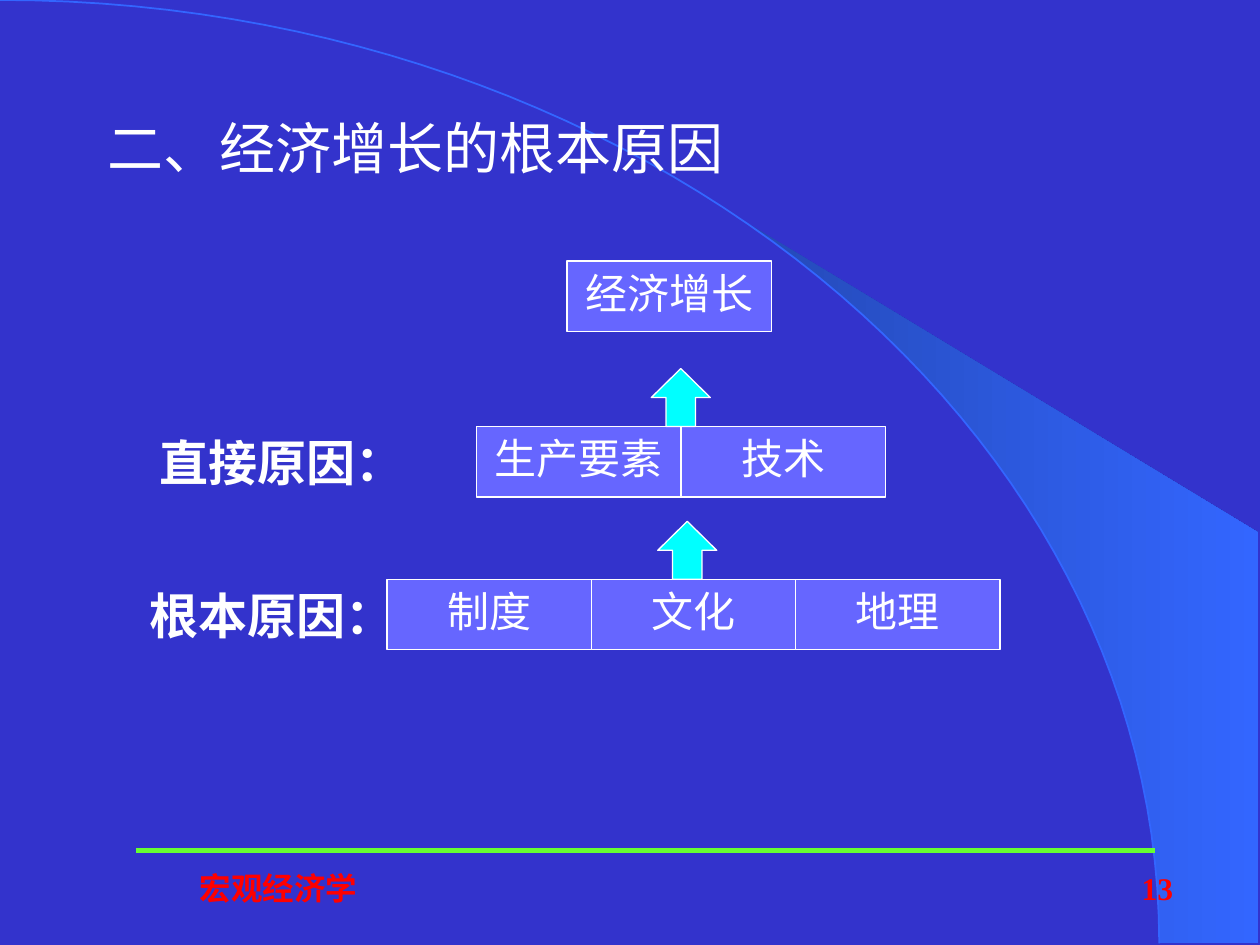
from lxml import etree
from pptx import Presentation
from pptx.dml.color import RGBColor
from pptx.enum.shapes import MSO_CONNECTOR, MSO_SHAPE
from pptx.enum.text import MSO_ANCHOR, MSO_AUTO_SIZE, PP_ALIGN
from pptx.oxml.ns import qn
from pptx.util import Cm, Pt

RECT, UP_ARROW = MSO_SHAPE.RECTANGLE, MSO_SHAPE.UP_ARROW
STRAIGHT = MSO_CONNECTOR.STRAIGHT
LEFT, CENTER, RIGHT = PP_ALIGN.LEFT, PP_ALIGN.CENTER, PP_ALIGN.RIGHT
TOP, MIDDLE = MSO_ANCHOR.TOP, MSO_ANCHOR.MIDDLE
FIT_SHAPE = MSO_AUTO_SIZE.SHAPE_TO_FIT_TEXT

FONT = "Times New Roman"
WHITE, RED, BLUE = "FFFFFF", "FF0000", "3366FF"
BOX_W, BOX_H = 4.12, 1.42
ARROW_W, ARROW_H = 1.19, 1.17


def rgb(color):
    return RGBColor.from_string(color)


def set_text(sp, text, size, color=WHITE, bold=False, align=LEFT,
             anchor=TOP, wrap=True):
    tf = sp.text_frame
    tf.text = text
    tf.word_wrap = wrap
    tf.vertical_anchor = anchor
    p = tf.paragraphs[0]
    p.alignment = align
    font = p.runs[0].font
    font.name, font.size, font.bold = FONT, Pt(size), bold
    font.color.rgb = rgb(color)


def add_text(s, box, text, size, **style):
    sp = s.shapes.add_textbox(*(Cm(v) for v in box))
    set_text(sp, text, size, **style)


def add_block(s, kind, box, fill):
    sp = s.shapes.add_shape(kind, *(Cm(v) for v in box))
    sp.shadow.inherit = False
    sp.fill.solid()
    sp.fill.fore_color.rgb = rgb(fill)
    sp.line.color.rgb = rgb(WHITE)
    sp.line.width = Pt(0.75)
    return sp


def add_outline(s, points, close):
    points = [(Cm(x), Cm(y)) for x, y in points]
    builder = s.shapes.build_freeform(*points[0])
    builder.add_line_segments(points[1:], close=close)
    sp = builder.convert_to_shape()
    sp.shadow.inherit = False
    return sp


def arc_points(width, height, start, steps=56):
    """Points on a quarter arc from the top left to the bottom right."""
    points = []
    for i in range(steps + 1):
        t = start + (1 - start) * i / steps
        a, b, c = 3 * (1 - t) ** 2 * t, 3 * (1 - t) * t ** 2, t ** 3
        points.append((width * (0.55 * a + b + c), height * (0.45 * b + c)))
    return points


def add_backdrop(s, width, height):
    s.background.fill.solid()
    s.background.fill.fore_color.rgb = rgb("3333CC")

    # Beam between the arc and the right edge
    corners = [(width, height), (width, 10.74)]
    beam = add_outline(s, arc_points(23.37, height, 0.44) + corners, True)
    beam.line.fill.background()
    beam.fill.gradient()
    beam.fill.gradient_angle = 0
    for stop, color, position in zip(beam.fill.gradient_stops,
                                     ("2449B6", BLUE), (0, 1)):
        stop.color.rgb = rgb(color)
        stop.position = position

    # Arc line
    arc = add_outline(s, arc_points(23.37, height, 0), False)
    arc.fill.background()
    arc.line.color.rgb = rgb(BLUE)
    arc.line.width = Pt(1)


def add_footer(s, left, top, width):
    rule = s.shapes.add_connector(STRAIGHT, Cm(left), Cm(top),
                                  Cm(left + width), Cm(top))
    rule.line.color.rgb = rgb("66FF33")
    rule.line.width = Pt(3)
    etree.SubElement(rule._element.spPr, qn("a:effectLst"))

    style = dict(color=RED, bold=True, anchor=MIDDLE)
    add_text(s, (left - 1.67, top + 0.12, 9.09, 1.27), "宏观经济学", 18,
             align=CENTER, **style)
    add_text(s, (left + 15.88, top + 0.12, 5.28, 1.27), "13", 18,
             align=RIGHT, **style)


def add_title(s, box):
    title = s.shapes.title
    title.left, title.top, title.width, title.height = (Cm(v) for v in box)
    set_text(title, "二、经济增长的根本原因", 32, wrap=False)
    title.text_frame.auto_size = FIT_SHAPE
    # Bring the title in front of the backdrop
    title._element.getparent().append(title._element)


def add_level(s, left, top, names, label=None, label_left=0, arrow_left=None):
    """A row of touching boxes with its label and the arrow above it."""
    for i, name in enumerate(names):
        sp = add_block(s, RECT, (left + i * BOX_W, top, BOX_W, BOX_H), "6666FF")
        set_text(sp, name, 24, align=CENTER, wrap=False)
    if label:
        add_text(s, (label_left, top, 5.59, 2.08), label, 28, bold=True)
    if arrow_left:
        add_block(s, UP_ARROW,
                  (arrow_left, top - ARROW_H, ARROW_W, ARROW_H), "00FFFF")


def main():
    prs = Presentation()
    prs.slide_width, prs.slide_height = Cm(25.4), Cm(19.05)
    s = prs.slides.add_slide(prs.slide_layouts[5])

    add_backdrop(s, 25.37, 19.02)
    add_footer(s, 2.74, 17.15, 20.55)
    add_title(s, (1.91, 2.16, 13.06, 1.63))

    # Growth, its direct causes and its root causes
    add_level(s, 11.43, 5.26, ["经济增长"])
    add_level(s, 9.61, 8.6, ["生产要素", "技术"], "直接原因：", 2.97, 13.13)
    add_level(s, 7.8, 11.68, ["制度", "文化", "地理"], "根本原因：", 2.77, 13.26)

    prs.save("out.pptx")


if __name__ == "__main__":
    main()
